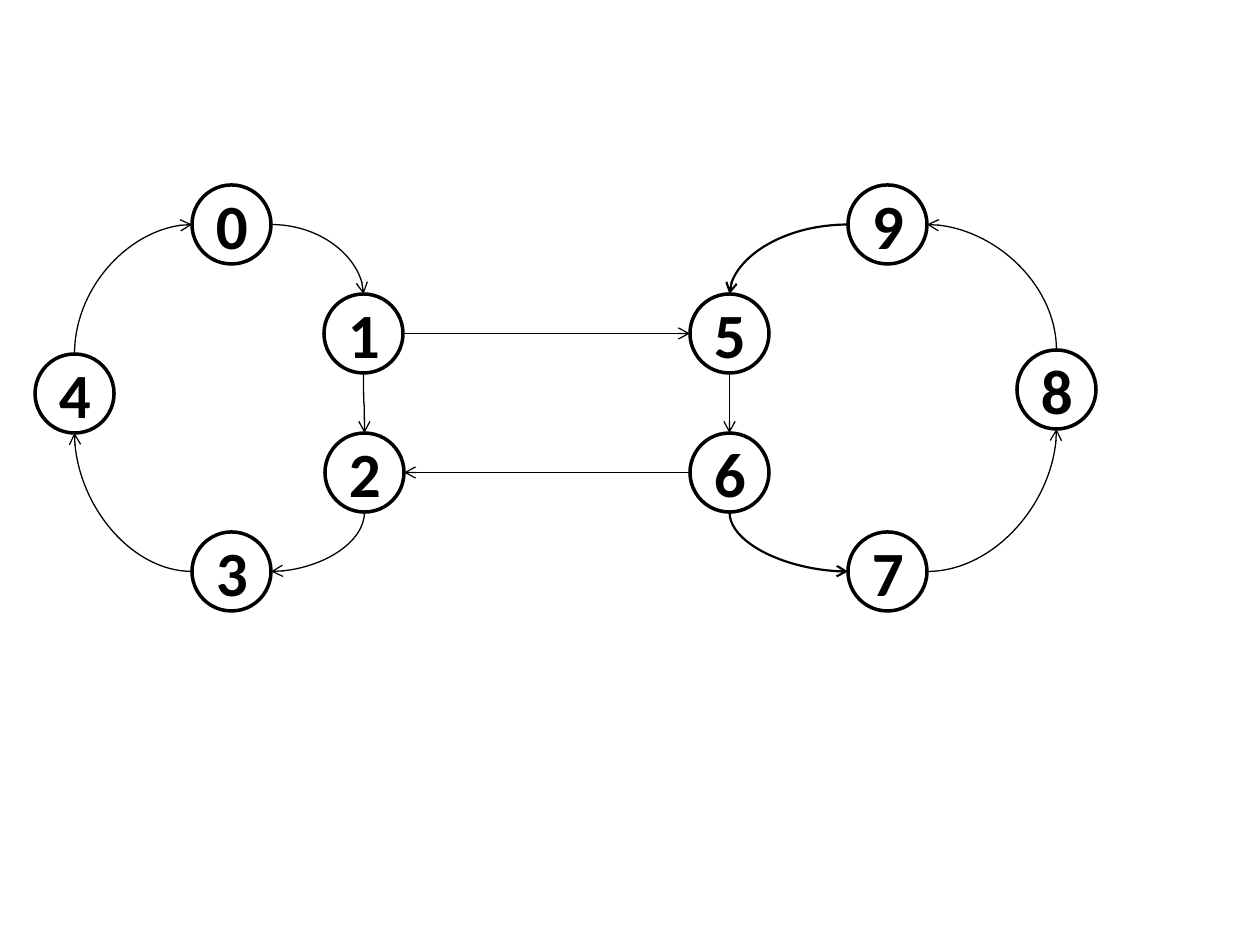
from pptx import Presentation
from pptx import util as u
from pptx.dml.color import RGBColor
from pptx.enum import shapes, text
from pptx.oxml.ns import qn
from lxml import etree

BLACK = RGBColor(0, 0, 0)
WHITE = RGBColor(255, 255, 255)
PX = u.Inches(10) // 1260
DIAMETER = 79
TOP, LEFT, BOTTOM, RIGHT = 0, 2, 4, 6
SITE_OFFSETS = {TOP: (0.5, 0), LEFT: (0, 0.5), BOTTOM: (0.5, 1), RIGHT: (1, 0.5)}
THIN, THICK = 0.75, 1.25
STRAIGHT = shapes.MSO_CONNECTOR.STRAIGHT
CURVE = shapes.MSO_CONNECTOR.CURVE


def add_node(slide, label, x, y):
    """Add one numbered circle."""
    node = slide.shapes.add_shape(
        shapes.MSO_SHAPE.OVAL, x * PX, y * PX, DIAMETER * PX, DIAMETER * PX)
    node.shadow.inherit = False
    node.fill.solid()
    node.fill.fore_color.rgb = WHITE
    node.line.color.rgb = BLACK
    node.line.width = u.Pt(2)
    node.text_frame.vertical_anchor = text.MSO_ANCHOR.MIDDLE
    digit = node.text_frame.paragraphs[0]
    digit.text = label
    digit.alignment = text.PP_ALIGN.CENTER
    digit.font.name = "Calibri"
    digit.font.size = u.Pt(36)
    digit.font.bold = True
    digit.font.color.rgb = BLACK
    return node


def site_point(node, site):
    """Return the point of a connection site on a node."""
    across, down = SITE_OFFSETS[site]
    return node.left + int(across * node.width), node.top + int(down * node.height)


def turn_upright(edge):
    """Rotate a curve by a quarter turn so that it leaves its node vertically."""
    across, down = edge.end_x - edge.begin_x, edge.end_y - edge.begin_y
    mid_x, mid_y = edge.begin_x + across // 2, edge.begin_y + down // 2
    edge.begin_x, edge.begin_y = mid_x - down // 2, mid_y + across // 2
    edge.end_x, edge.end_y = mid_x + down // 2, mid_y - across // 2
    edge.rotation = 90


def add_edge(slide, nodes, start, start_site, end, end_site, weight=THIN, kind=CURVE):
    """Add an arrow glued to two nodes."""
    edge = slide.shapes.add_connector(
        kind, *site_point(nodes[start], start_site), *site_point(nodes[end], end_site))
    edge.line.color.rgb = BLACK
    edge.line.width = u.Pt(weight)
    glue = edge._element.find(".//" + qn("p:cNvCxnSpPr"))
    for tag, label, site in (("a:stCxn", start, start_site), ("a:endCxn", end, end_site)):
        etree.SubElement(glue, qn(tag), id=str(nodes[label].shape_id), idx=str(site))
    properties = edge._element.spPr
    etree.SubElement(properties.find(qn("a:ln")), qn("a:tailEnd"), type="arrow")
    etree.SubElement(properties, qn("a:effectLst"))
    if kind == CURVE:
        vertical = (TOP, BOTTOM)
        if (start_site in vertical) != (end_site in vertical):
            properties.find(qn("a:prstGeom")).set("prst", "curvedConnector2")
        if start_site in vertical:
            turn_upright(edge)


def add_cycle(slide, left, top, places, edges):
    """Add one ring of nodes and its arrows, and return the nodes by label."""
    nodes = {label: add_node(slide, label, left + x, top + y)
             for label, (x, y) in places.items()}
    for edge in edges:
        add_edge(slide, nodes, *edge)
    return nodes


def add_graph(slide, left, top):
    """Add both rings and the two arrows that join them."""
    nodes = add_cycle(
        slide, left, top,
        {"0": (157, 0), "1": (289, 109), "2": (290, 248), "3": (157, 347), "4": (0, 169)},
        [("0", RIGHT, "1", TOP),
         ("1", BOTTOM, "2", TOP),
         ("2", BOTTOM, "3", RIGHT),
         ("3", LEFT, "4", BOTTOM),
         ("4", TOP, "0", LEFT)])
    nodes |= add_cycle(
        slide, left + 655, top,
        {"5": (0, 109), "6": (0, 248), "7": (158, 347), "8": (327, 165), "9": (158, 0)},
        [("5", BOTTOM, "6", TOP, THIN, STRAIGHT),
         ("6", BOTTOM, "7", LEFT, THICK),
         ("7", RIGHT, "8", BOTTOM),
         ("8", TOP, "9", RIGHT),
         ("9", LEFT, "5", TOP, THICK)])
    add_edge(slide, nodes, "1", RIGHT, "5", LEFT, THIN, STRAIGHT)
    add_edge(slide, nodes, "6", LEFT, "2", RIGHT, THIN, STRAIGHT)


deck = Presentation()
deck.slide_width, deck.slide_height = u.Inches(10), u.Inches(7.5)
add_graph(deck.slides.add_slide(deck.slide_layouts[6]), 35, 185)
deck.save("out.pptx")
